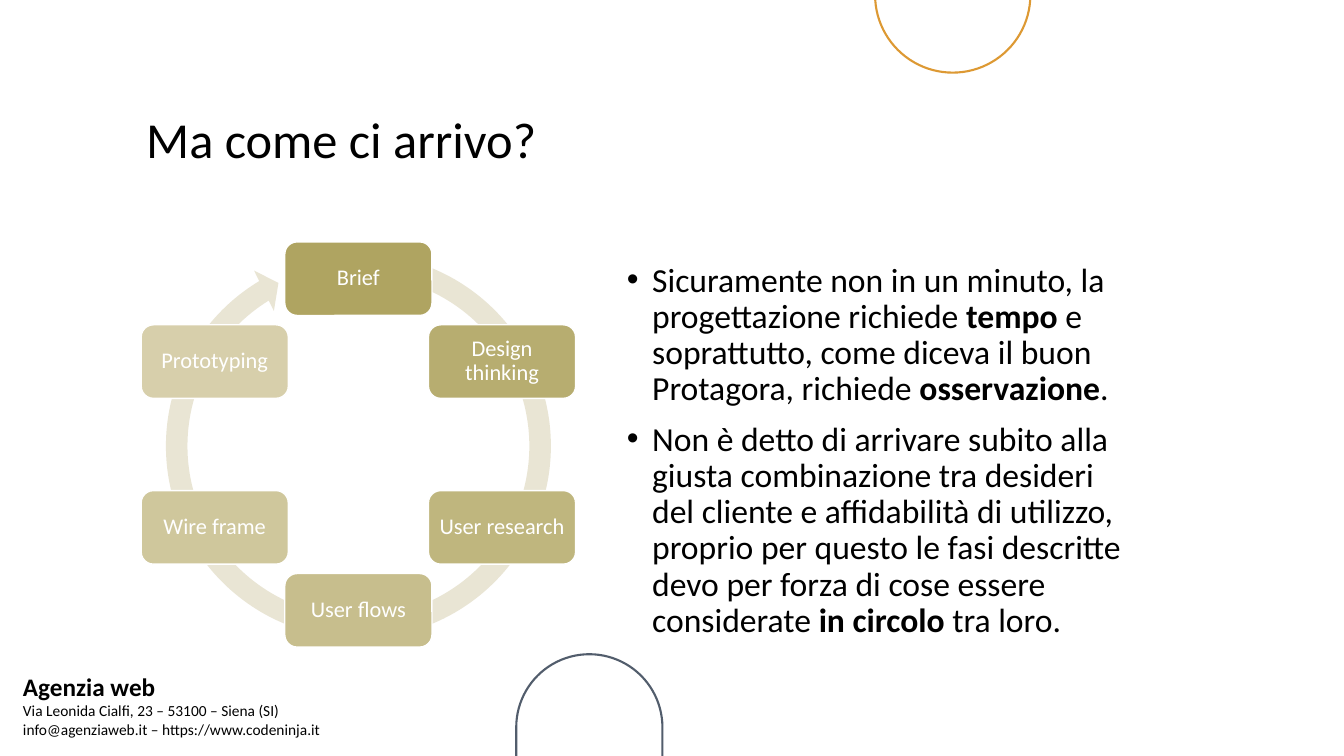
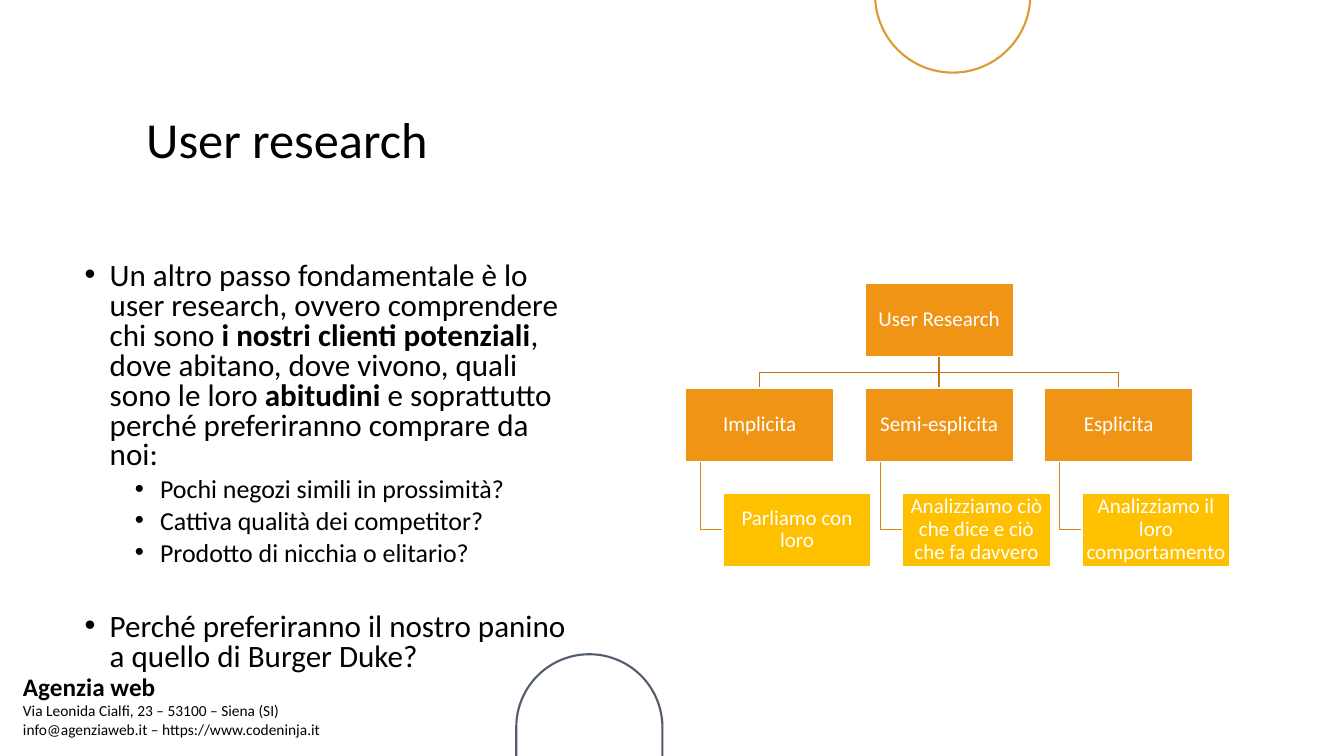
from math import cos, radians, sin

from lxml import etree
from pptx import Presentation
from pptx.dml.color import RGBColor
from pptx.enum import shapes, text
from pptx.oxml.ns import qn
from pptx.util import Inches, Pt

INK = {
    "text": "000000", "white": "FFFFFF", "slate": "525D6C", "amber": "DD9933",
    "ring": "E9E5D4", "branch": "F09415", "leaf": "FFC000",
    "trunk": "C07711", "twig": "DA8613",
}
STEPS = [
    ("Brief", "AFA461"), ("Design thinking", "B7AD70"),
    ("User research", "BFB67E"), ("User flows", "C7BE8D"),
    ("Wire frame", "CFC79C"), ("Prototyping", "D7CFAB"),
]
KINDS = [
    ("Implicita", "Parliamo con loro"),
    ("Semi-esplicita", "Analizziamo ciò che dice e ciò che fa davvero"),
    ("Esplicita", "Analizziamo il loro comportamento"),
]
PATH = [
    (0, 0, "Sicuramente non in un minuto, la progettazione richiede **tempo** e "
     "soprattutto, come diceva il buon Protagora, richiede **osservazione**."),
    (0, 10, "Non è detto di arrivare subito alla giusta combinazione tra desideri "
     "del cliente e affidabilità di utilizzo, proprio per questo le fasi descritte "
     "devo per forza di cose essere considerate **in circolo **tra loro."),
]
STUDY = [
    (0, 0, "Un altro passo fondamentale è lo user research, ovvero comprendere chi "
     "sono **i nostri clienti potenziali**, dove abitano, dove vivono, quali sono "
     "le loro **abitudini** e soprattutto perché preferiranno comprare da noi:"),
    (1, 5, "Pochi negozi simili in prossimità?"),
    (1, 5, "Cattiva qualità dei competitor?"),
    (1, 5, "Prodotto di nicchia o elitario?"),
    (0, 33, "Perché preferiranno il nostro panino a quello di Burger Duke?"),
]
SHAPE = shapes.MSO_SHAPE


def rgb(hue):
    """Turn a hex string into a colour."""
    return RGBColor.from_string(hue)


def style(para, size, hue="text", bold=False):
    """Set the font of a paragraph."""
    font = para.font
    font.name, font.size, font.bold = "Calibri", Pt(size), bold
    font.color.rgb = rgb(INK[hue])


def paint(shape, fill=None, line=None, width=1):
    """Set fill and outline, without a shadow."""
    shape.shadow.inherit = False
    if fill:
        shape.fill.solid()
        shape.fill.fore_color.rgb = rgb(fill)
    else:
        shape.fill.background()
    if line:
        shape.line.color.rgb = rgb(line)
        shape.line.width = Pt(width)
    else:
        shape.line.fill.background()


def form(slide, kind, box, adj=(), **look):
    """Add a preset shape in a box of inches."""
    shape = slide.shapes.add_shape(kind, *map(Inches, box))
    for i, value in enumerate(adj):
        shape.adjustments[i] = value
    paint(shape, **look)
    return shape


def label(slide, kind, box, words, fill, size, inset):
    """Add a filled shape with centred white text."""
    shape = form(slide, kind, box, fill=fill, line=INK["white"])
    frame = shape.text_frame
    frame.word_wrap = True
    frame.vertical_anchor = text.MSO_ANCHOR.MIDDLE
    frame.margin_left = frame.margin_right = Inches(inset)
    frame.margin_top = frame.margin_bottom = Inches(inset)
    para = frame.paragraphs[0]
    para.text = words
    para.alignment = text.PP_ALIGN.CENTER
    para.line_spacing = 0.9
    style(para, size, "white")


def route(slide, points, hue):
    """Draw an open line through points in inches."""
    spots = [(Inches(x), Inches(y)) for x, y in points]
    if len(spots) == 2:
        line = slide.shapes.add_connector(
            shapes.MSO_CONNECTOR.STRAIGHT, *spots[0], *spots[1])
        line.line.color.rgb = rgb(INK[hue])
        line.line.width = Pt(1)
        etree.SubElement(line._element.spPr, qn("a:effectLst"))
        return
    pen = slide.shapes.build_freeform(*spots[0])
    pen.add_line_segments(spots[1:], close=False)
    paint(pen.convert_to_shape(), line=INK[hue])


def contact(slide, box):
    """Place the company lines."""
    frame = slide.shapes.add_textbox(*map(Inches, box)).text_frame
    frame.word_wrap = True
    lines = [
        ("Agenzia web", 18),
        ("Via Leonida Cialfi, 23 – 53100 – Siena (SI)", 11),
        ("info@agenziaweb.it – https://www.codeninja.it", 11),
    ]
    for i, (words, size) in enumerate(lines):
        para = frame.add_paragraph() if i else frame.paragraphs[0]
        para.text = words
        style(para, size, bold=i == 0)


def base(deck, title):
    """Start a slide with the shared decoration and title."""
    slide = deck.slides.add_slide(deck.slide_layouts[5])
    contact(slide, (0.13, 6.61, 4.36, 0.77))
    form(slide, SHAPE.ROUND_2_SAME_RECTANGLE, (5.12, 6.49, 1.45, 2.62),
         (0.5, 0), line=INK["slate"], width=1.5)
    arc = form(slide, SHAPE.PIE, (8.68, -0.82, 1.54, 1.54),
               (54.12, 162), line=INK["amber"], width=1.5)
    arc.rotation = 270
    head = slide.shapes.title
    head.left, head.top = Inches(1.35), Inches(0.82)
    head.width, head.height = Inches(9.91), Inches(1.18)
    head.text_frame.vertical_anchor = text.MSO_ANCHOR.MIDDLE
    para = head.text_frame.paragraphs[0]
    para.text = title
    para.alignment = text.PP_ALIGN.LEFT
    para.line_spacing = 0.9
    style(para, 36)
    return slide


def body(slide, box, items, sizes, pitch):
    """Place bulleted text, with bold parts between double stars."""
    frame = slide.shapes.add_textbox(*map(Inches, box)).text_frame
    frame.word_wrap = True
    for i, (level, gap, words) in enumerate(items):
        para = frame.add_paragraph() if i else frame.paragraphs[0]
        para.level = level
        props = para._p.get_or_add_pPr()
        props.set("marL", str(Inches(0.25 + 0.5 * level)))
        props.set("indent", str(Inches(-0.25)))
        etree.SubElement(props, qn("a:buFont"), typeface="Arial")
        etree.SubElement(props, qn("a:buChar"), char="•")
        para.line_spacing = pitch
        para.space_before = Pt(gap)
        style(para, sizes[level])
        for j, part in enumerate(words.split("**")):
            run = para.add_run()
            run.text = part
            if j % 2:
                run.font.bold = True


def cycle(slide, box):
    """Place the steps around a circular arrow."""
    left, top, width, height = box
    wide, high = 1.46, 0.73
    radius = (height - high) / 2
    midx, midy = left + width / 2, top + height / 2
    form(slide, SHAPE.CIRCULAR_ARROW, (left + 0.13, top, 4.05, 4.05),
         (0.05274, 3.1263, 143.215, 170.726, 0.055), fill=INK["ring"])
    for i, (words, fill) in enumerate(STEPS):
        turn = radians(360 / len(STEPS) * i - 90)
        spot = (midx + radius * cos(turn) - wide / 2,
                midy + radius * sin(turn) - high / 2, wide, high)
        label(slide, SHAPE.ROUNDED_RECTANGLE, spot, words, fill, 16, 0.06)


def tree(slide, box):
    """Place the research tree: a root, its branches and their leaves."""
    left, top, width, height = box
    wide, high, shift = 1.47, 0.73, 0.37
    step = (width - wide - shift) / (len(KINDS) - 1)
    drop = (height - high) / 2
    cols = [left + step * i for i in range(len(KINDS))]
    root = cols[len(cols) // 2]
    mid, foot = root + wide / 2, top + high
    bar, low = (foot + top + drop) / 2, top + 2 * drop
    for col in cols:
        end = col + wide / 2
        bend = [] if col == root else [(mid, bar), (end, bar)]
        route(slide, [(mid, foot), *bend, (end, top + drop)], "trunk")
        stem, level = col + 0.15, low + high / 2
        route(slide, [(stem, foot + drop), (stem, level),
                      (col + shift, level)], "twig")
    cells = [(root, top, "User Research", "branch")]
    for col, (kind, note) in zip(cols, KINDS):
        cells += [(col, top + drop, kind, "branch"),
                  (col + shift, low, note, "leaf")]
    for x, y, words, hue in cells:
        label(slide, SHAPE.RECTANGLE, (x, y, wide, high), words, INK[hue], 15, 0.01)


def main():
    """Build and save the deck."""
    deck = Presentation()
    deck.slide_width, deck.slide_height = Inches(13.33), Inches(7.5)
    slide = base(deck, "Ma come ci arrivo?")
    cycle(slide, (1.4, 2.4, 4.31, 4.02))
    body(slide, (6.12, 2.56, 5.14, 3.94), PATH, (24,), 0.9)
    slide = base(deck, "User research")
    body(slide, (0.74, 2.56, 5.14, 3.94), STUDY, (22.2, 18.5), 0.8)
    tree(slide, (6.8, 2.81, 5.4, 2.81))
    deck.save("out.pptx")


if __name__ == "__main__":
    main()
